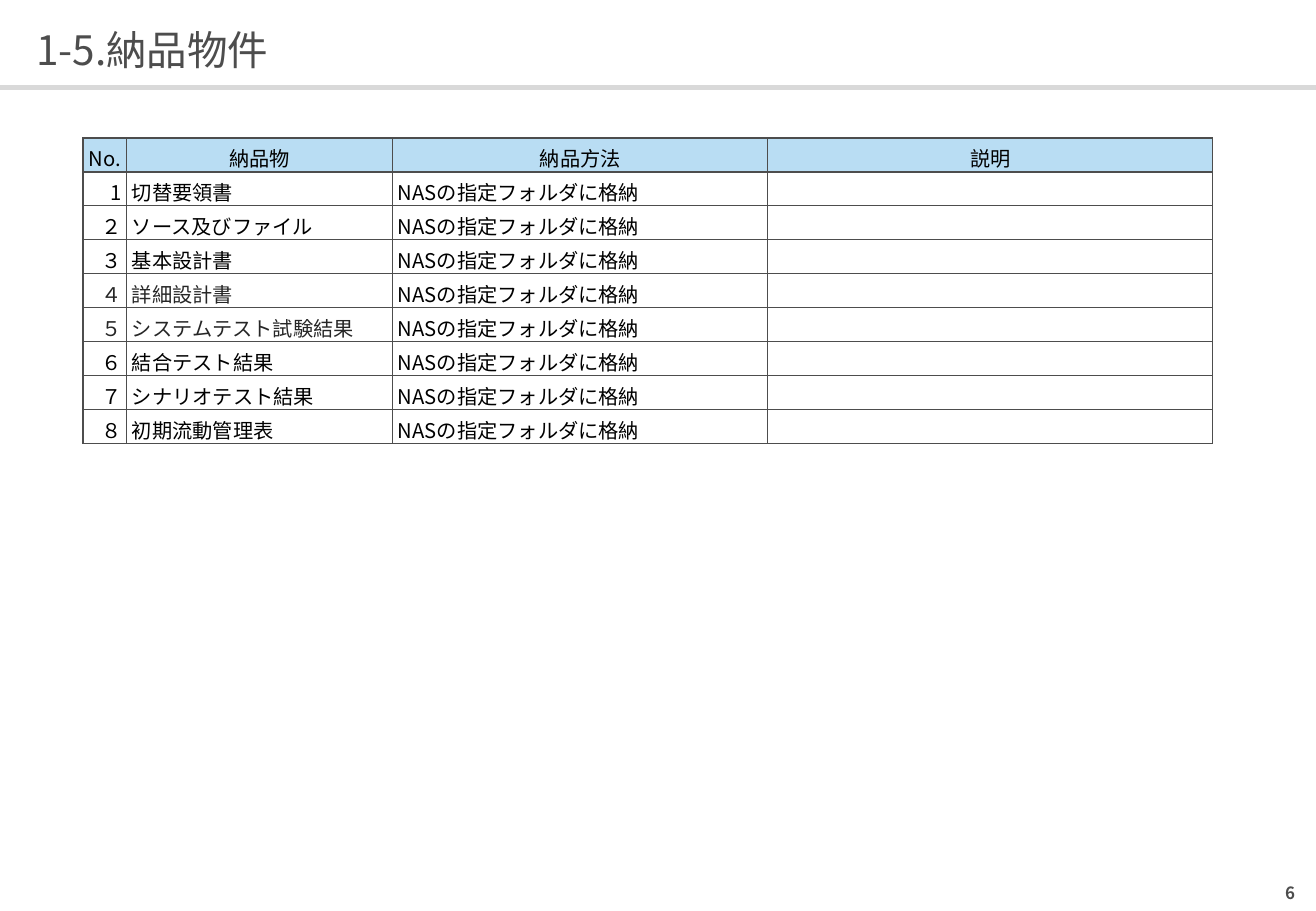
from dataclasses import dataclass

from lxml import etree
from pptx import Presentation
from pptx import util as u
from pptx.dml.color import RGBColor
from pptx.enum import shapes, text
from pptx.oxml.ns import qn
from pptx.slide import Slide
from pptx.table import _Cell
from pptx.text.text import TextFrame

SCALE = 7526
FONT = "Noto Sans CJK JP"
GREY, BLACK, DARK = "4D4D4D", "000000", "262626"
HEAD, WHITE, RULE = "B9DDF3", "FFFFFF", "D9D9D9"
LEFT, MID, RIGHT = text.PP_ALIGN.LEFT, text.PP_ALIGN.CENTER, text.PP_ALIGN.RIGHT

TITLES = ["No.", "納品物", "納品方法", "説明"]
WIDTHS = [44, 266, 375, 445]
ROW = 34
METHOD = "NASの指定フォルダに格納"


@dataclass
class Item:
    no: str
    name: str
    color: str = BLACK


ITEMS = [
    Item("1", "切替要領書"),
    Item("２", "ソース及びファイル"),
    Item("３", "基本設計書"),
    Item("４", "詳細設計書", DARK),
    Item("５", "システムテスト試験結果", DARK),
    Item("６", "結合テスト結果"),
    Item("７", "シナリオテスト結果"),
    Item("８", "初期流動管理表"),
]


def px(n: int) -> u.Emu:
    return u.Emu(n * SCALE)


def rgb(code: str) -> RGBColor:
    return RGBColor.from_string(code)


def write(frame: TextFrame, words: str, *, size: int = 12, color: str = BLACK,
          bold: bool = False, align: text.PP_ALIGN = LEFT,
          space: float = 1.0) -> None:
    para = frame.paragraphs[0]
    para.alignment = align
    para.line_spacing = space
    if not words:
        # keeps an empty cell from growing to the default text size
        etree.SubElement(para._p, qn("a:endParaRPr"), sz=str(size * 100))
        return
    run = para.add_run()
    run.text = words
    font = run.font
    font.size, font.bold, font.name = u.Pt(size), bold, FONT
    font.color.rgb = rgb(color)
    etree.SubElement(run._r.get_or_add_rPr(), qn("a:ea"), typeface=FONT)


def label(slide: Slide, box: tuple[int, int, int, int], words: str,
          **form) -> None:
    frame = slide.shapes.add_textbox(*map(px, box)).text_frame
    frame.word_wrap = True
    frame.vertical_anchor = text.MSO_ANCHOR.MIDDLE
    frame.margin_left = frame.margin_right = 0
    frame.margin_top = frame.margin_bottom = 0
    write(frame, words, **form)


def border(cell: _Cell) -> None:
    props = cell._tc.get_or_add_tcPr()
    for spot, side in enumerate(["lnL", "lnR", "lnT", "lnB"]):
        line = etree.Element(qn(f"a:{side}"), w=str(u.Pt(0.75)))
        fill = etree.SubElement(line, qn("a:solidFill"))
        etree.SubElement(fill, qn("a:srgbClr"), val=GREY)
        props.insert(spot, line)


def fill_cell(cell: _Cell, words: str, back: str, **form) -> None:
    cell.fill.solid()
    cell.fill.fore_color.rgb = rgb(back)
    cell.vertical_anchor = text.MSO_ANCHOR.MIDDLE
    cell.margin_left = cell.margin_right = cell.margin_top = px(5)
    cell.margin_bottom = 0
    border(cell)
    write(cell.text_frame, words, **form)


def add_list(slide: Slide) -> None:
    count = len(ITEMS) + 1
    table = slide.shapes.add_table(
        count, len(WIDTHS), px(83), px(138),
        px(sum(WIDTHS)), px(ROW * count)).table
    table.first_row = table.horz_banding = False
    for col, width in zip(table.columns, WIDTHS):
        col.width = px(width)
    for row in table.rows:
        row.height = px(ROW)
    for col, title in enumerate(TITLES):
        fill_cell(table.cell(0, col), title, HEAD, align=MID)
    for row, item in enumerate(ITEMS, 1):
        parts = [(item.no, item.color, RIGHT), (item.name, item.color, LEFT),
                 (METHOD, BLACK, LEFT), ("", BLACK, LEFT)]
        for col, (words, color, align) in enumerate(parts):
            fill_cell(table.cell(row, col), words, WHITE,
                      color=color, align=align)


def add_rule(slide: Slide) -> None:
    bar = slide.shapes.add_shape(
        shapes.MSO_SHAPE.RECTANGLE, 0, px(85), px(1316), px(5))
    bar.shadow.inherit = False
    bar.fill.solid()
    bar.fill.fore_color.rgb = rgb(RULE)
    bar.line.fill.background()


def main() -> None:
    deck = Presentation()
    deck.slide_width, deck.slide_height = px(1316), px(911)
    slide = deck.slides.add_slide(deck.slide_layouts[6])
    add_rule(slide)
    label(slide, (988, 876, 307, 34), "6",
          size=10, color=GREY, bold=True, align=RIGHT)
    add_list(slide)
    label(slide, (36, 21, 1244, 52), "1-5.納品物件",
          size=24, color=GREY, space=1.1)
    deck.save("out.pptx")


if __name__ == "__main__":
    main()
